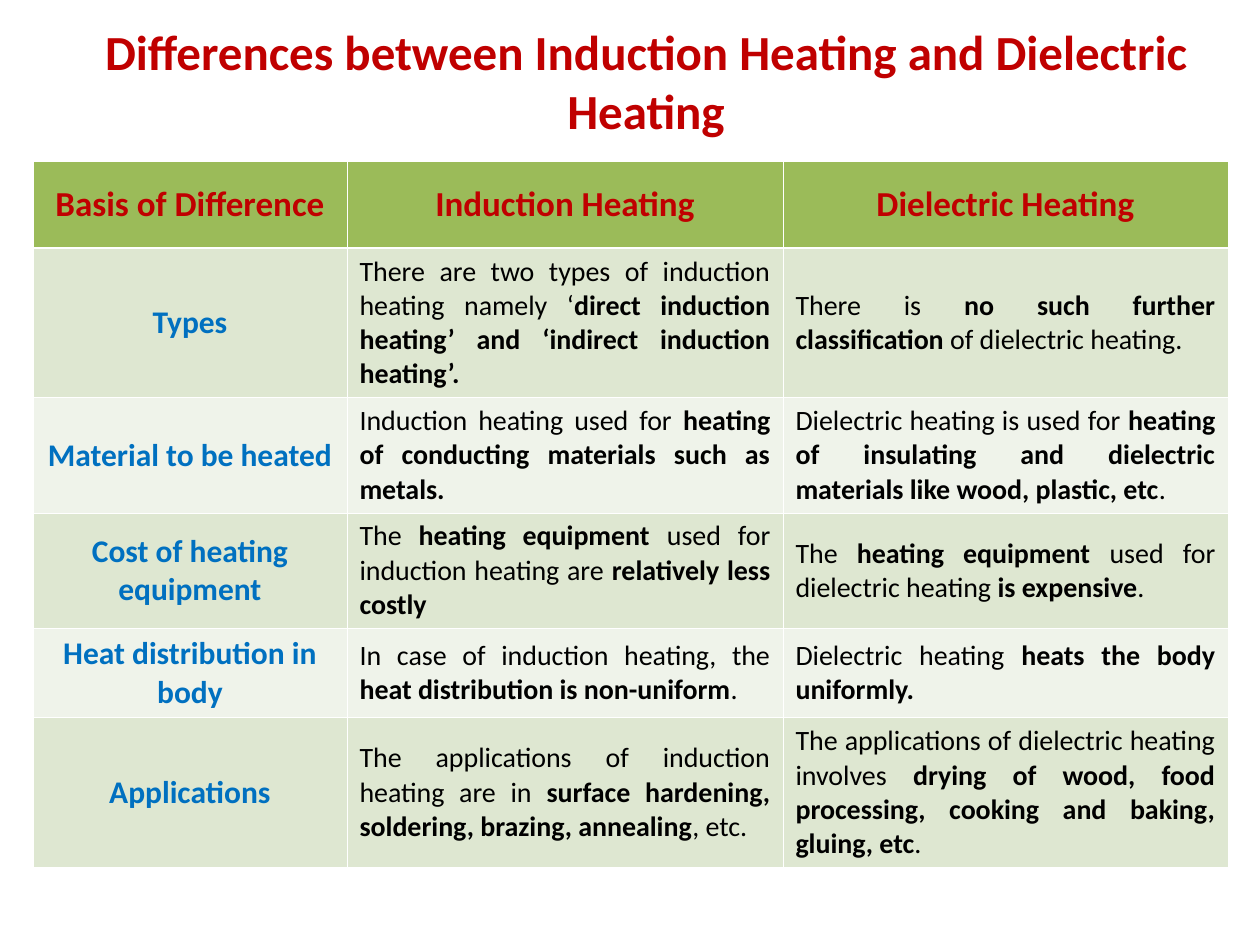
from lxml.etree import SubElement
from pptx import Presentation
from pptx.dml.color import RGBColor
from pptx.enum.text import MSO_ANCHOR as Anchor, PP_ALIGN as Align
from pptx.oxml.ns import qn
from pptx.util import Pt

PX = 914400 / 126
FONT = "Calibri"
COLORS = {
    "heading": "C00000",
    "basis": "0070C0",
    "body": "000000",
    "header_fill": "9BBB59",
    "odd_fill": "DEE7D1",
    "even_fill": "EFF3EA",
    "border": "FFFFFF",
}
THIN, THICK = 0.45, 1.47
COLUMN_WIDTHS = [314, 436, 445]
ROW_HEIGHTS = [87, 148, 113, 113, 88, 148]

# Asterisks enclose bold passages.
HEADERS = ["Basis of Difference", "Induction Heating", "Dielectric Heating"]
COMPARISONS = [
    ("Types",
     "There are two types of induction heating namely ‘*direct induction heating’ and "
     "‘indirect induction heating’.*",
     "There is *no such further classification* of dielectric heating."),
    ("Material to be heated",
     "Induction heating used for *heating of conducting materials such as metals.*",
     "Dielectric heating is used for *heating of insulating and dielectric materials "
     "like wood, plastic, etc*."),
    ("Cost of heating equipment",
     "The *heating equipment *used for induction heating are *relatively less costly*",
     "The *heating equipment *used for dielectric heating *is expensive*."),
    ("Heat distribution in body",
     "In case of induction heating, the *heat distribution is non-uniform*.",
     "Dielectric heating *heats the body uniformly.*"),
    ("Applications",
     "The applications of induction heating are in *surface hardening, soldering, "
     "brazing, annealing*, etc.",
     "The applications of dielectric heating involves *drying of wood, food processing, "
     "cooking and baking, gluing, etc*."),
]


def px(length):
    return round(length * PX)


def color(name):
    return RGBColor.from_string(COLORS[name])


def write(paragraph, text, size, color_name, align):
    """Fill a paragraph, with the passages between asterisks in bold."""
    paragraph.alignment = align
    font = paragraph.font
    font.name, font.size = FONT, Pt(size)
    font.color.rgb = color(color_name)
    for index, passage in enumerate(text.split("*")):
        if passage:
            run = paragraph.add_run()
            run.text = passage
            run.font.bold = index % 2 == 1


def set_borders(cell, top, bottom):
    properties = cell._tc.get_or_add_tcPr()
    widths = {"lnL": THIN, "lnR": THIN, "lnT": top, "lnB": bottom}
    for position, (side, width) in enumerate(widths.items()):
        line = SubElement(properties, qn(f"a:{side}"), w=str(Pt(width)))
        fill = SubElement(line, qn("a:solidFill"))
        SubElement(fill, qn("a:srgbClr"), val=COLORS["border"])
        properties.insert(position, line)


def add_title(slide, left, top, width, height):
    box = slide.shapes.add_textbox(px(left), px(top), px(width), px(height))
    box.text_frame.word_wrap = True
    write(box.text_frame.paragraphs[0],
          "*Differences between Induction Heating and Dielectric Heating*",
          28, "heading", Align.CENTER)


def fill_cell(cell, row, column, text):
    """Style a cell by its place: header row, basis column or description."""
    cell.vertical_anchor = Anchor.MIDDLE
    cell.fill.solid()
    if row == 0:
        fill, style = "header_fill", (20, "heading", Align.CENTER)
    else:
        fill = "odd_fill" if row % 2 else "even_fill"
        style = (16, "body", Align.JUSTIFY) if column else (18, "basis", Align.CENTER)
    if row == 0 or column == 0:
        text = f"*{text}*"
    cell.fill.fore_color.rgb = color(fill)
    set_borders(cell, top=THICK if row == 1 else THIN, bottom=THICK if row == 0 else THIN)
    write(cell.text_frame.paragraphs[0], text, *style)


def add_comparison_table(slide, left, top):
    frame = slide.shapes.add_table(
        len(ROW_HEIGHTS), len(COLUMN_WIDTHS), px(left), px(top),
        px(sum(COLUMN_WIDTHS)), px(sum(ROW_HEIGHTS)))
    table = frame.table
    table.first_row = table.horz_banding = False
    for column, width in zip(table.columns, COLUMN_WIDTHS):
        column.width = px(width)
    for row, height in zip(table.rows, ROW_HEIGHTS):
        row.height = px(height)
    for row, texts in enumerate([HEADERS, *COMPARISONS]):
        for column, text in enumerate(texts):
            fill_cell(table.cell(row, column), row, column, text)


def main():
    presentation = Presentation()
    presentation.slide_width, presentation.slide_height = px(1260), px(945)
    slide = presentation.slides.add_slide(presentation.slide_layouts[6])
    add_comparison_table(slide, 33, 161)
    add_title(slide, 79, 15, 1134, 135)
    presentation.save("out.pptx")


if __name__ == "__main__":
    main()
